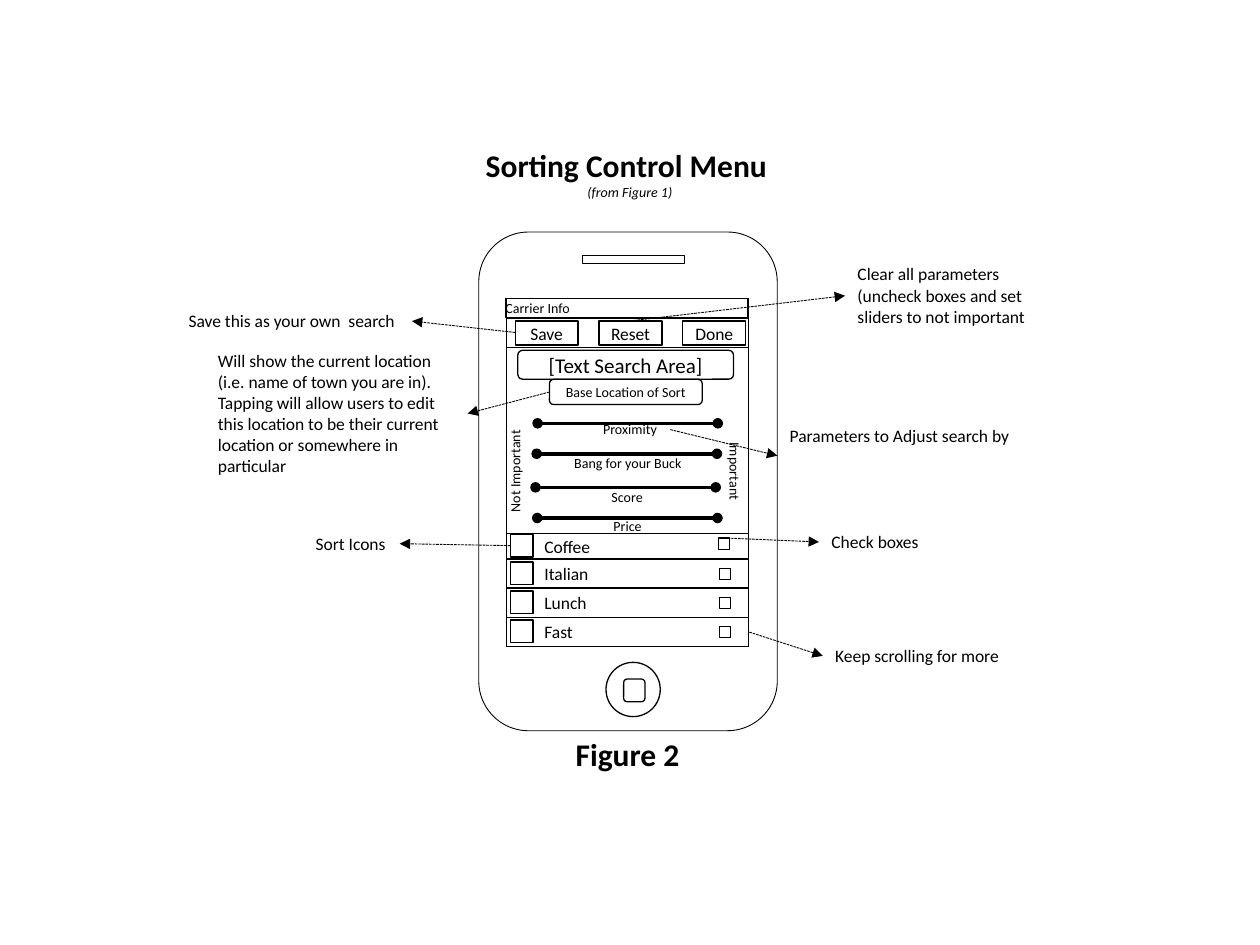
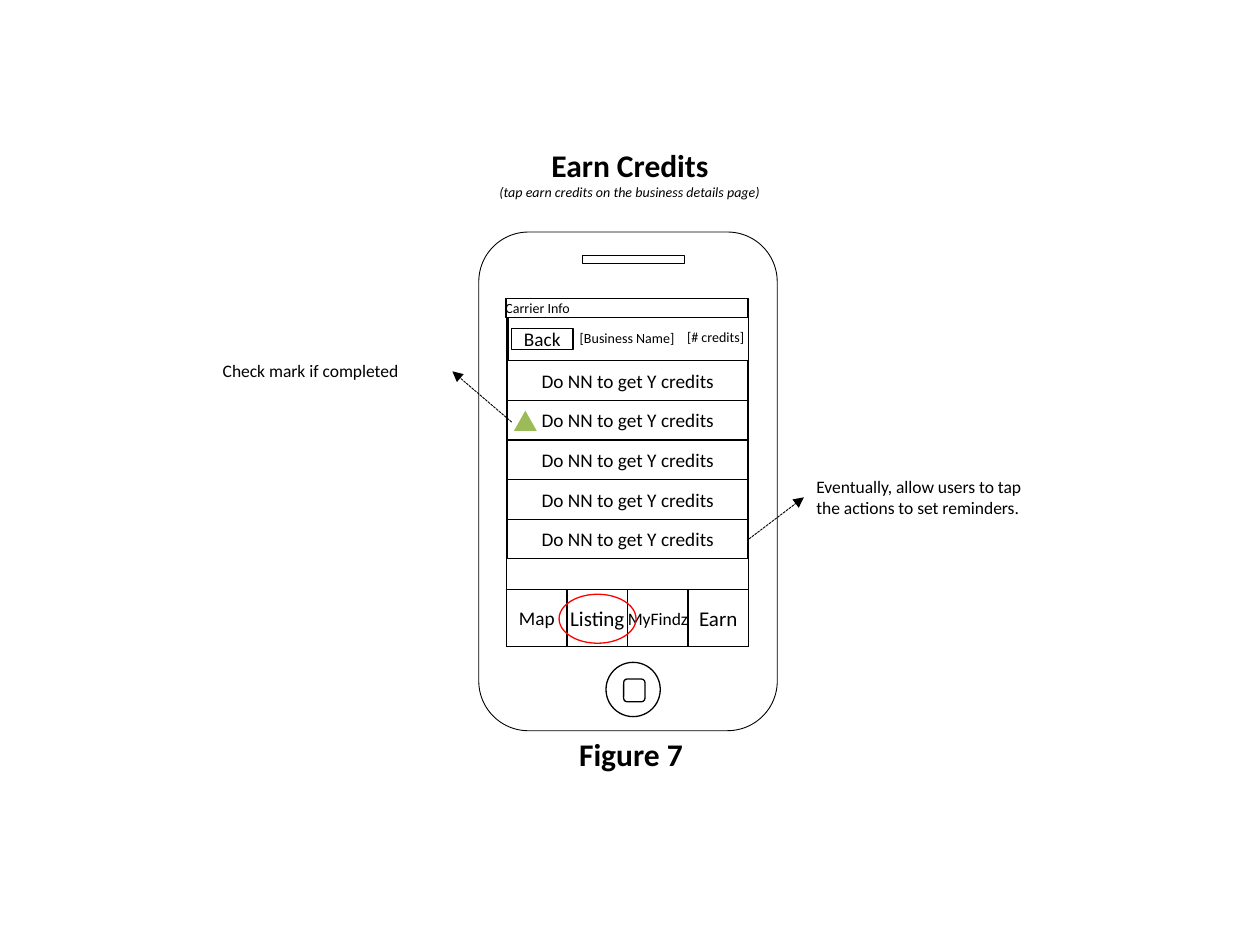
from pptx import Presentation
from pptx.dml.color import RGBColor
from pptx.enum.dml import MSO_LINE
from pptx.enum.shapes import MSO_CONNECTOR, MSO_SHAPE as SHAPE
from pptx.enum.text import MSO_ANCHOR as ANCHOR, MSO_AUTO_SIZE as AUTO, PP_ALIGN as ALIGN
from pptx.oxml.ns import qn
from pptx.util import Pt
from lxml.etree import SubElement

FONT = "Calibri"
BLACK, RED, GREEN = "000000", "FF0000", "9BBB59"
SCREEN_LEFT, SCREEN_TOP, SCREEN_WIDTH, SCREEN_HEIGHT = 289.5, 170.6, 138.2, 198.7


def rgb(code):
    """Turn a hex string into a colour."""
    return RGBColor.from_string(code)


def style_line(line, color, weight):
    """Give a line its colour and weight."""
    line.color.rgb = rgb(color)
    line.width = Pt(weight)


def write(frame, text, size, align, margin_left=7.2, margin_right=7.2):
    """Fill a text frame with one style of text."""
    frame.margin_left, frame.margin_right = Pt(margin_left), Pt(margin_right)
    frame.margin_top = frame.margin_bottom = Pt(3.6)
    frame.text = text
    for paragraph in frame.paragraphs:
        paragraph.alignment = align
        for run in paragraph.runs:
            run.font.name = FONT
            run.font.size = Pt(size)
            run.font.color.rgb = rgb(BLACK)


def outline(slide, kind, left, top, width, height, weight=0.75, color=BLACK):
    """Draw an unfilled shape."""
    shape = slide.shapes.add_shape(kind, Pt(left), Pt(top), Pt(width), Pt(height))
    shape.shadow.inherit = False
    shape.fill.background()
    style_line(shape.line, color, weight)
    return shape


def box(slide, text, left, top, width, height, size,
        kind=SHAPE.RECTANGLE, align=ALIGN.CENTER, indent=0):
    """Draw an outlined box with a vertically centred label."""
    shape = outline(slide, kind, left, top, width, height)
    frame = shape.text_frame
    frame.word_wrap = True
    frame.vertical_anchor = ANCHOR.MIDDLE
    write(frame, text, size, align, indent, 0)


def label(slide, text, left, top, width, height, size=10, wrap=False,
          align=ALIGN.LEFT, margin=7.2):
    """Place free text that grows with its content."""
    area = slide.shapes.add_textbox(Pt(left), Pt(top), Pt(width), Pt(height))
    frame = area.text_frame
    frame.word_wrap = wrap
    frame.auto_size = AUTO.SHAPE_TO_FIT_TEXT
    write(frame, text, size, align, margin, margin)
    return area


def connect(slide, start, end, weight, dash=None, **ends):
    """Draw a straight line with the given end marks."""
    connector = slide.shapes.add_connector(
        MSO_CONNECTOR.STRAIGHT, *(Pt(value) for value in (*start, *end)))
    style_line(connector.line, BLACK, weight)
    if dash:
        connector.line.dash_style = dash
    properties = connector._element.spPr
    for mark, kind in ends.items():
        SubElement(properties.find(qn("a:ln")), qn(f"a:{mark}"), type=kind)
    SubElement(properties, qn("a:effectLst"))


def callout(slide, text, place, start, end, wrap=False):
    """Write a remark and point a dashed arrow at it."""
    connect(slide, start, end, 0.5, MSO_LINE.SQUARE_DOT, tailEnd="triangle")
    label(slide, text, *place, wrap=wrap)


def slider(slide, name, start_x, y, center_x, name_top, name_width):
    """Draw a slider track with its name underneath."""
    connect(slide, (start_x, y), (start_x + 103, y), 2, headEnd="oval", tailEnd="oval")
    label(slide, name, center_x - name_width / 2, name_top, name_width, 17.3, 8,
          align=ALIGN.CENTER)


def category_row(slide, name, top, height, check_left, check_top):
    """Draw a category with its icon and check box."""
    box(slide, name, SCREEN_LEFT, top, SCREEN_WIDTH, height, 10,
        align=ALIGN.LEFT, indent=21.6)
    outline(slide, SHAPE.RECTANGLE, 291.6, top + height / 2 - 6.7, 13, 13)
    outline(slide, SHAPE.RECTANGLE, check_left, check_top, 6.5, 6.5)


def phone(slide):
    """Draw the phone body, screen and status bar."""
    outline(slide, SHAPE.RECTANGLE, SCREEN_LEFT, SCREEN_TOP, SCREEN_WIDTH, SCREEN_HEIGHT)
    outline(slide, SHAPE.ROUNDED_RECTANGLE, 273.6, 132.6, 170.6, 285, 0.5)
    outline(slide, SHAPE.RECTANGLE, 332.7, 146.1, 58.3, 4.4)
    outline(slide, SHAPE.OVAL, 346.3, 378.5, 31, 31)
    outline(slide, SHAPE.ROUNDED_RECTANGLE, 356.4, 388, 12.2, 13)
    box(slide, "Carrier Info", 288.8, SCREEN_TOP, SCREEN_WIDTH, 10.9, 8, align=ALIGN.LEFT)


def figure(deck, title, subtitle, caption, caption_left):
    """Add a slide with heading, phone and figure caption."""
    slide = deck.slides.add_slide(deck.slide_layouts[6])
    phone(slide)
    heading = label(slide, f"{title}\n{subtitle}", 226.8, 79.9, 266.4, 38.9, 18, True,
                    ALIGN.CENTER)
    title_font, subtitle_font = (p.runs[0].font for p in heading.text_frame.paragraphs)
    title_font.bold = True
    subtitle_font.size = Pt(8)
    subtitle_font.italic = True
    footer = label(slide, caption, caption_left, 416.2, 266.4, 43.9, 18, True, ALIGN.CENTER)
    footer.text_frame.paragraphs[0].runs[0].font.bold = True
    return slide


def sorting_menu(deck):
    """Build the sorting control menu."""
    slide = figure(deck, "Sorting Control Menu ", "(from Figure 1)", "Figure 2", 225.4)
    outline(slide, SHAPE.RECTANGLE, SCREEN_LEFT, 182, SCREEN_WIDTH, 16.6)
    for column, name in enumerate(("Save", "Reset", "Done")):
        box(slide, name, 294.4 + 47.9 * column, 183.4, 36, 13.8, 10)
    box(slide, "[Text Search Area]", 295.9, 200.2, 123.3, 16.5, 12, SHAPE.ROUNDED_RECTANGLE)
    box(slide, "Base Location of Sort", 314, 216.8, 87.3, 14.4, 8, SHAPE.ROUNDED_RECTANGLE)

    for track in (("Proximity", 307.2, 241.9, 360, 236.9, 46),
                  ("Bang for your Buck", 306.7, 259.3, 358.9, 256.4, 77),
                  ("Score", 306, 278.5, 358.4, 275.7, 33),
                  ("Price", 307, 296, 358.7, 292.4, 31)):
        slider(slide, *track)
    for text, left, width, angle in (("Not Important", 263.5, 62, 270),
                                     ("Important", 396, 47.5, 90)):
        label(slide, text, left, 260.6, width, 17.3, 8, align=ALIGN.CENTER).rotation = angle

    category_row(slide, "Coffee", 304.7, 14.7, 410.4, 307.4)
    for row, name in enumerate(("Italian", "Lunch", "Fast")):
        category_row(slide, name, 319.5 + 16.6 * row, 16.6, 411.1, 324.8 + 16.6 * row)

    callout(slide, "Save this as your own  search", (100.7, 173.8, 134.6, 19.4),
            (294.4, 190), (235.4, 183.5))
    callout(slide, "Will show the current location (i.e. name of town you are in). "
            "Tapping will allow users to edit this location to be their current location "
            "or somewhere in particular", (117.4, 196.6, 149.8, 79.9),
            (314, 224), (267.2, 236.3), True)
    callout(slide, "Sort Icons", (173.3, 301.2, 55.4, 19.4), (291.6, 311.8), (228.4, 310.7))
    callout(slide, "Clear all parameters (uncheck boxes and set sliders to not important",
            (482.9, 147, 118.8, 43.9), (360.2, 183.4), (482.9, 169), True)
    callout(slide, "Parameters to Adjust search by", (444.2, 239.6, 142.6, 19.4),
            (383, 245.5), (444.2, 260.4))
    callout(slide, "Check boxes", (468, 300, 65.5, 19.4), (413.5, 307.4), (468, 309.7))
    callout(slide, "Keep scrolling for more", (470.2, 365.2, 110.2, 19.4),
            (428.2, 361.2), (470.2, 374.8))


def earn_credits(deck):
    """Build the earn credits page."""
    slide = figure(deck, "Earn Credits", "(tap earn credits on the business details page)",
                   "Figure 7", 227.4)
    outline(slide, SHAPE.RECTANGLE, 290.2, 181.5, 137.5, 24.4)
    box(slide, "Back", 292.4, 187.7, 35, 12.2, 11)
    label(slide, "[Business Name]", 327.4, 185, 62, 17.3, 8, True, ALIGN.CENTER, 0)
    label(slide, "[# credits]", 391, 184.4, 36, 17.3, 8, True, ALIGN.CENTER, 0)

    for row in range(5):
        box(slide, "Do NN to get Y credits", 290, 206.1 + 22.65 * row, 137.5, 22.65, 11)
    tabs = (("Map", 11), ("Listing", 12), ("MyFindz", 10), ("Earn", 12))
    tab_width = SCREEN_WIDTH / len(tabs)
    for column, (name, size) in enumerate(tabs):
        box(slide, name, SCREEN_LEFT + tab_width * column, 337, tab_width, 32.3, size)
    outline(slide, SHAPE.OVAL, 319.5, 339.6, 44, 28, color=RED)

    check_mark = outline(slide, SHAPE.ISOSCELES_TRIANGLE, 293.7, 234.7, 13, 11.5)
    check_mark.fill.solid()
    check_mark.fill.fore_color.rgb = rgb(GREEN)
    check_mark.line.fill.background()

    callout(slide, "Check mark if completed", (120.2, 202.3, 138.2, 19.4),
            (292.4, 241.2), (258.5, 212.2), True)
    callout(slide, "Eventually, allow users to tap the actions to set reminders.",
            (459.4, 268.6, 138.2, 31.7), (428, 308), (459.4, 284.2), True)


def main():
    """Build and save the figures."""
    deck = Presentation()
    deck.slide_width, deck.slide_height = Pt(720), Pt(540)
    sorting_menu(deck)
    earn_credits(deck)
    deck.save("out.pptx")


if __name__ == "__main__":
    main()
